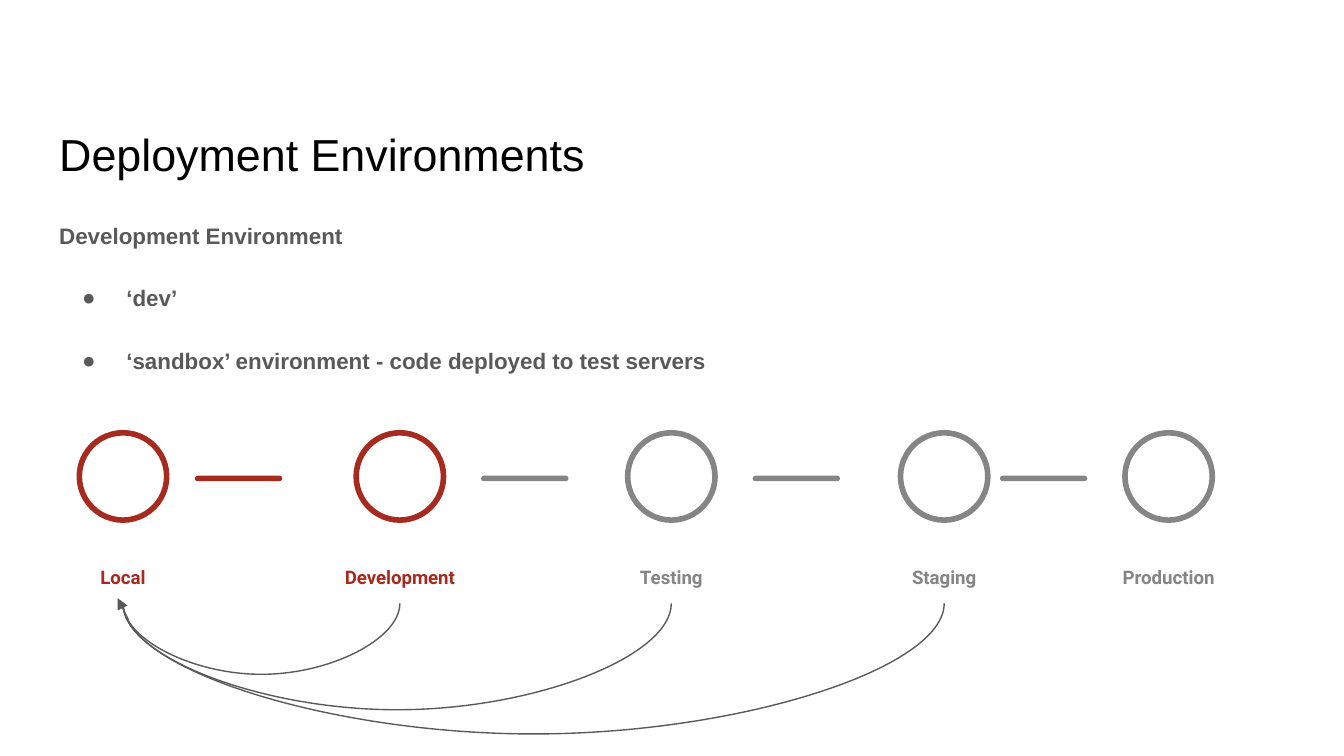
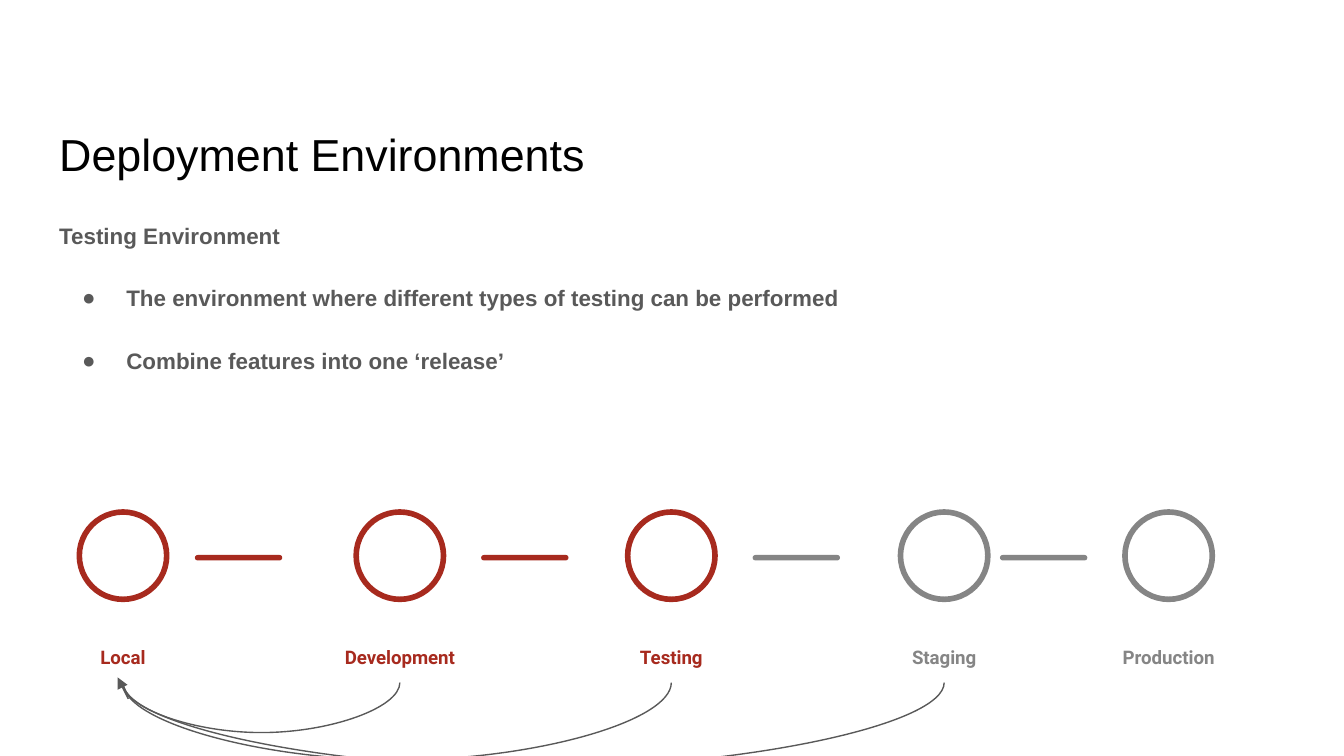
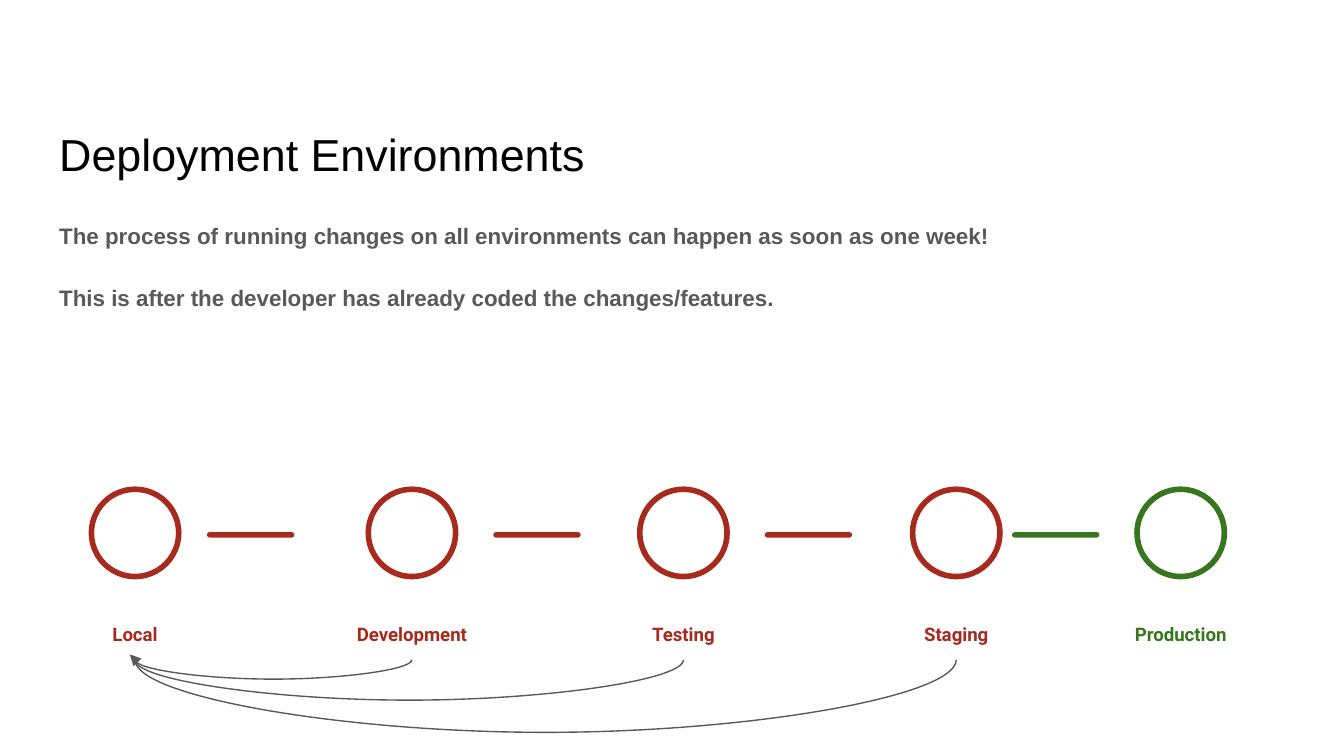
from lxml import etree
from pptx import Presentation
from pptx import util as u
from pptx.dml.color import RGBColor
from pptx.enum import shapes, text
from pptx.oxml.ns import qn

COLORS = {
    "title": "000000",
    "body": "595959",
    "reached": "A72A1E",
    "pending": "858585",
    "live": "38761D",
}
TITLE = "Deployment Environments"
STAGES = ["Local", "Development", "Testing", "Staging", "Production"]
STAGE_OFFSETS = [0, 2.06, 4.08, 6.11, 7.78]
DASH_OFFSETS = [0.86, 2.99, 5.01, 6.85]
CIRCLE_SIZE = 0.65
CURVE_THICKNESS = u.Emu(600)

SLIDES = [
    {
        "heading": ["Development Environment"],
        "bullets": ["‘dev’", "‘sandbox’ environment - code deployed to test servers"],
        "body_size": (9.42, 1.29),
        "row": (0.59, 3.22),
        "stage_colors": ["reached"] * 2 + ["pending"] * 3,
        "depths": [0.44, 0.66, 0.81],
        "arrow_start": (0.04, 0.12),
    },
    {
        "heading": ["Testing Environment"],
        "bullets": [
            "The environment where different types of testing can be performed",
            "Combine features into one ‘release’",
        ],
        "body_size": (9.44, 2.19),
        "row": (0.59, 3.81),
        "stage_colors": ["reached"] * 3 + ["pending"] * 2,
        "depths": [0.31, 0.48, 0.53],
        "arrow_start": (0.04, 0.12),
    },
    {
        "heading": [
            "The process of running changes on all environments can happen as soon as one week!",
            "This is after the developer has already coded the changes/features.",
        ],
        "bullets": [],
        "body_size": (8.67, 1.73),
        "row": (0.68, 3.64),
        "stage_colors": ["reached"] * 4 + ["live"],
        "depths": [0.12, 0.25, 0.45],
        "arrow_start": (0, 0),
    },
]


def rgb(name):
    return RGBColor.from_string(COLORS[name])


def inches(*lengths):
    return [u.Inches(length) for length in lengths]


def place(shape, left, top, width, height):
    shape.left, shape.top, shape.width, shape.height = inches(left, top, width, height)


def format_frame(frame, anchor):
    frame.word_wrap = True
    frame.auto_size = text.MSO_AUTO_SIZE.NONE
    frame.vertical_anchor = anchor
    frame.margin_left = frame.margin_right = u.Inches(0.1)
    frame.margin_top = frame.margin_bottom = u.Inches(0.1)


def format_paragraph(paragraph, size, color, font="Arial", bold=False, align=text.PP_ALIGN.LEFT):
    paragraph.alignment = align
    paragraph.font.name = font
    paragraph.font.size = u.Pt(size)
    paragraph.font.bold = bold
    paragraph.font.color.rgb = rgb(color)


def set_bullet(paragraph, bulleted):
    """Give the paragraph a round bullet, or take the inherited one away."""
    properties = paragraph._p.get_or_add_pPr()
    properties.set("marL", str(u.Inches(0.5 if bulleted else 0)))
    properties.set("indent", str(u.Inches(-0.33 if bulleted else 0)))
    if bulleted:
        color = etree.SubElement(properties, qn("a:buClr"))
        etree.SubElement(color, qn("a:srgbClr"), val=COLORS["body"])
        etree.SubElement(properties, qn("a:buChar"), char="●")
    else:
        etree.SubElement(properties, qn("a:buNone"))


def add_title(slide):
    title = slide.shapes.title
    place(title, 0.34, 0.61, 7.3, 0.83)
    format_frame(title.text_frame, text.MSO_ANCHOR.BOTTOM)
    title.text_frame.text = TITLE
    format_paragraph(title.text_frame.paragraphs[0], 24, "title")


def add_body(slide, heading, bullets, size):
    body = slide.placeholders[1]
    place(body, 0.34, 1.52, *size)
    frame = body.text_frame
    format_frame(frame, text.MSO_ANCHOR.TOP)
    frame.text = "\n".join(heading + bullets)
    for index, paragraph in enumerate(frame.paragraphs):
        paragraph.line_spacing = 1.15
        paragraph.space_before = u.Pt(0)
        paragraph.space_after = u.Pt(17)
        set_bullet(paragraph, index >= len(heading))
        format_paragraph(paragraph, 12, "body", bold=True)


def add_stage(slide, name, left, top, color):
    """Group a ring with the stage name below it."""
    group = slide.shapes.add_group_shape()
    circle = group.shapes.add_shape(
        shapes.MSO_SHAPE.OVAL, *inches(left, top, CIRCLE_SIZE, CIRCLE_SIZE))
    circle.shadow.inherit = False
    circle.fill.background()
    circle.line.color.rgb = rgb(color)
    circle.line.width = u.Pt(3)

    label = group.shapes.add_textbox(*inches(left - 0.61, top + 0.77, 1.87, 0.49))
    format_frame(label.text_frame, text.MSO_ANCHOR.BOTTOM)
    paragraph = label.text_frame.paragraphs[0]
    paragraph.text = name
    paragraph.line_spacing = 1.15
    format_paragraph(paragraph, 10, color, "Roboto", True, text.PP_ALIGN.CENTER)


def add_dash(slide, left, top, color):
    dash = slide.shapes.add_shape(
        shapes.MSO_SHAPE.ROUNDED_RECTANGLE, *inches(left, top, 0.65, 0.04))
    dash.adjustments[0] = 0.5
    dash.shadow.inherit = False
    dash.fill.solid()
    dash.fill.fore_color.rgb = rgb(color)
    dash.line.fill.background()


def add_line(slide, kind, *ends):
    line = slide.shapes.add_connector(kind, *ends)
    line.line.color.rgb = rgb("body")
    line.line.width = u.Pt(0.75)
    etree.SubElement(line.element.spPr, qn("a:effectLst"))
    return line


def add_return_curve(slide, start_x, end_x, y, depth):
    """Draw a curve that hangs below y, as a quarter-turned upright connector."""
    center, span = (start_x + end_x) / 2, start_x - end_x
    left = u.Inches(center) - CURVE_THICKNESS // 2
    top, bottom = inches(y - span / 2, y + span / 2)
    curve = add_line(slide, shapes.MSO_CONNECTOR.CURVE,
                     left, top, left + CURVE_THICKNESS, bottom)
    properties = curve.element.spPr
    properties.find(qn("a:xfrm")).set("rot", "5400000")
    adjustment = round(u.Inches(depth) / CURVE_THICKNESS * 100000)
    guides = properties.find(qn("a:prstGeom")).find(qn("a:avLst"))
    etree.SubElement(guides, qn("a:gd"), name="adj1", fmla=f"val {adjustment}")


def add_arrow(slide, x, y, start):
    arrow = add_line(slide, shapes.MSO_CONNECTOR.STRAIGHT,
                     *inches(x + start[0], y + start[1], x - 0.04, y - 0.04))
    etree.SubElement(arrow.line._get_or_add_ln(), qn("a:tailEnd"), type="triangle")


def add_pipeline(slide, row, colors, depths, arrow_start):
    left, top = row
    for name, offset, color in zip(STAGES, STAGE_OFFSETS, colors):
        add_stage(slide, name, left + offset, top, color)
    for offset, color in zip(DASH_OFFSETS, colors[1:]):
        add_dash(slide, left + offset, top + 0.32, color)

    local_x, return_y = left + CIRCLE_SIZE / 2, top + 1.27
    for offset, depth in zip(STAGE_OFFSETS[1:], depths):
        add_return_curve(slide, local_x + offset, local_x, return_y, depth)
    add_arrow(slide, local_x, return_y, arrow_start)


def main():
    presentation = Presentation()
    presentation.slide_width, presentation.slide_height = inches(10, 5.625)
    for content in SLIDES:
        slide = presentation.slides.add_slide(presentation.slide_layouts[1])
        add_title(slide)
        add_body(slide, content["heading"], content["bullets"], content["body_size"])
        add_pipeline(slide, content["row"], content["stage_colors"],
                     content["depths"], content["arrow_start"])
    presentation.save("out.pptx")


if __name__ == "__main__":
    main()
